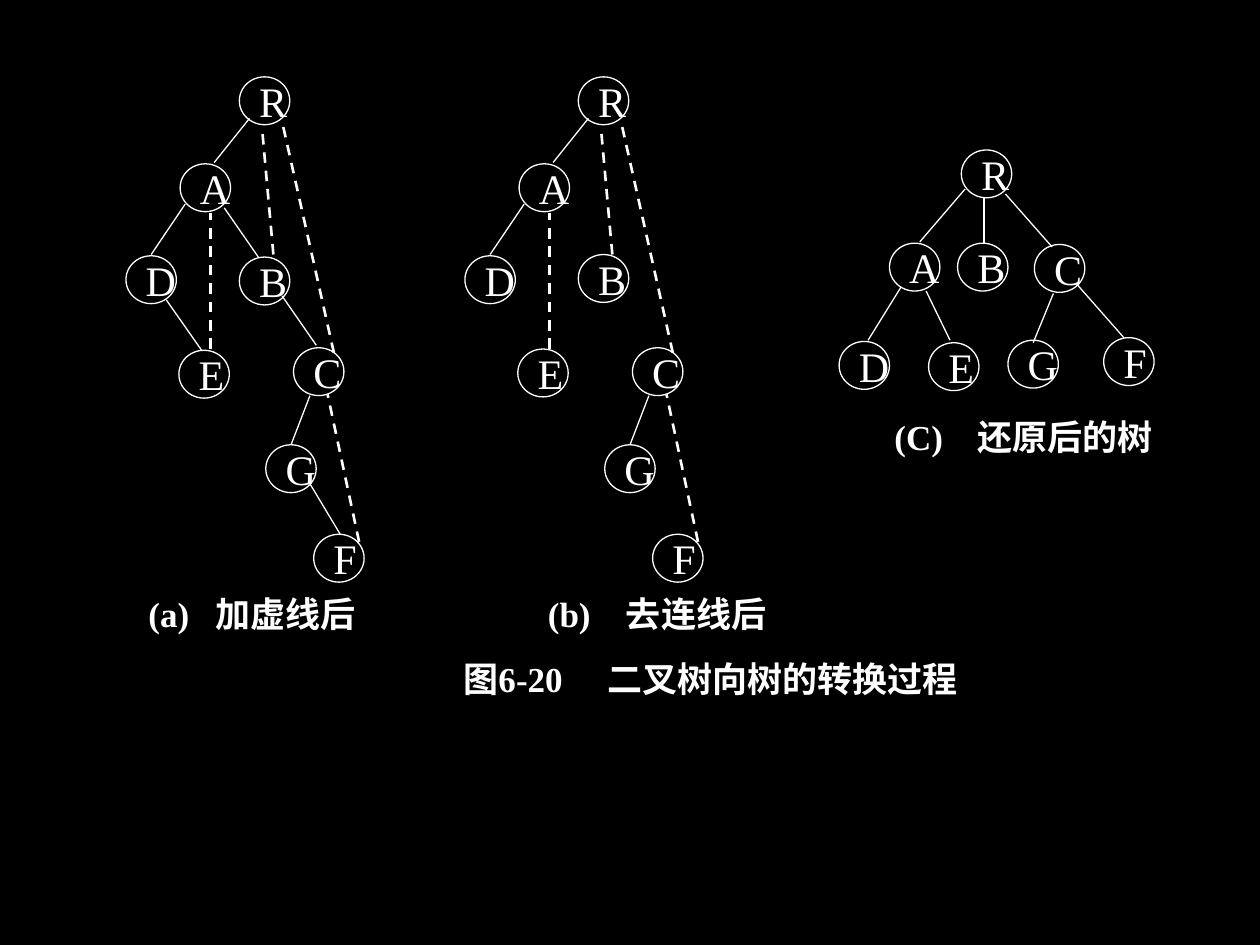
"""Build the slide that shows a binary tree turned back into a tree."""
from dataclasses import dataclass
from typing import Any, NamedTuple

from lxml import etree
from pptx import Presentation
from pptx import util as u
from pptx.dml.color import RGBColor
from pptx.enum import dml, shapes, text
from pptx.oxml import ns

EMU_PER_PX = 9144


@dataclass(frozen=True)
class Theme:
    ground: RGBColor = RGBColor(0, 0, 0)
    ink: RGBColor = RGBColor(255, 255, 255)
    face: str = "Times New Roman"
    node_size: u.Pt = u.Pt(24)
    caption_size: u.Pt = u.Pt(20)
    edge_width: u.Pt = u.Pt(0.75)
    dash_width: u.Pt = u.Pt(1.5)
    node_width: int = 40
    node_height: int = 38


class Node(NamedTuple):
    label: str
    left: int
    top: int


class Edge(NamedTuple):
    x1: int
    y1: int
    x2: int
    y2: int
    dashed: bool = False


class Caption(NamedTuple):
    number: str
    title: str
    left: int
    top: int
    width: int
    height: int
    title_indent: int


class Tree(NamedTuple):
    nodes: list[Node]
    edges: list[Edge]
    shift: int = 0


THEME = Theme()
FRAME_FORMAT = {"word_wrap": False, "vertical_anchor": text.MSO_ANCHOR.MIDDLE}
CAPTION_FORMAT = {"margin_right": 0}

SHARED_BY_A_AND_B = Tree(
    [Node("R", 190, 61), Node("A", 143, 130), Node("D", 100, 203),
     Node("C", 233, 276), Node("G", 211, 353), Node("F", 249, 424)],
    [Edge(198, 94, 170, 129), Edge(147, 162, 120, 202), Edge(246, 314, 231, 353),
     Edge(217, 202, 208, 102, True), Edge(265, 280, 224, 97, True),
     Edge(167, 277, 167, 169, True), Edge(285, 430, 260, 313, True)],
)
ONLY_A = Tree(
    [Node("B", 190, 204), Node("E", 142, 278)],
    [Edge(178, 165, 205, 204), Edge(246, 384, 270, 424),
     Edge(224, 235, 251, 274), Edge(132, 238, 160, 278)],
)
ONLY_B = Tree([Node("B", 190, 202), Node("E", 142, 277)], [])
RESTORED = Tree(
    [Node("R", 763, 119), Node("A", 706, 193), Node("B", 760, 193), Node("C", 821, 194),
     Node("D", 666, 271), Node("E", 737, 272), Node("G", 800, 270), Node("F", 876, 268)],
    [Edge(766, 150, 730, 192), Edge(781, 156, 781, 193), Edge(798, 154, 835, 196),
     Edge(715, 228, 689, 270), Edge(735, 231, 754, 270),
     Edge(855, 226, 892, 268), Edge(836, 233, 820, 272)],
)
B_SHIFT = 269
TREES = [
    SHARED_BY_A_AND_B,
    ONLY_A,
    SHARED_BY_A_AND_B._replace(shift=B_SHIFT),
    ONLY_B._replace(shift=B_SHIFT),
    RESTORED,
]
CAPTIONS = [
    Caption("(a)", "加虚线后", 108, 469, 180, 35, 53),
    Caption("(b)", "去连线后", 425, 469, 196, 35, 62),
    Caption("(C)", "还原后的树", 700, 327, 220, 39, 66),
    Caption("图6-20", "二叉树向树的转换过程", 358, 519, 406, 39, 114),
]


def px(*lengths: int) -> list[u.Emu]:
    """Turn px lengths into EMU."""
    return [u.Emu(length * EMU_PER_PX) for length in lengths]


def apply(target: Any, values: dict[str, Any]) -> None:
    """Set each format value on the target."""
    for key, value in values.items():
        setattr(target, key, value)


def write(frame: Any, words: str, size: u.Pt, bold: bool) -> Any:
    """Write one formatted paragraph and return it."""
    apply(frame, FRAME_FORMAT)
    paragraph = frame.paragraphs[0]
    paragraph.alignment = text.PP_ALIGN.LEFT
    run = paragraph.add_run()
    run.text = words
    apply(run.font, {"name": THEME.face, "size": size, "bold": bold})
    run.font.color.rgb = THEME.ink
    return paragraph


def draw_node(slide: Any, node: Node, shift: int) -> None:
    """Draw a ringed node with its letter."""
    place = px(node.left + shift, node.top, THEME.node_width, THEME.node_height)
    ring = slide.shapes.add_shape(shapes.MSO_SHAPE.OVAL, *place)
    ring.shadow.inherit = False
    ring.fill.background()
    ring.line.color.rgb = THEME.ink
    ring.line.width = THEME.edge_width
    write(ring.text_frame, node.label, THEME.node_size, False)


def draw_edge(slide: Any, edge: Edge, shift: int) -> None:
    """Draw a solid or dashed edge."""
    ends = px(edge.x1 + shift, edge.y1, edge.x2 + shift, edge.y2)
    link = slide.shapes.add_connector(shapes.MSO_CONNECTOR.STRAIGHT, *ends)
    link.line.color.rgb = THEME.ink
    link.line.width = THEME.dash_width if edge.dashed else THEME.edge_width
    if edge.dashed:
        link.line.dash_style = dml.MSO_LINE.DASH
    etree.SubElement(link._element.spPr, ns.qn("a:effectLst"))


def draw_caption(slide: Any, caption: Caption) -> None:
    """Draw a caption whose title starts at a tab stop."""
    place = px(caption.left, caption.top, caption.width, caption.height)
    label = slide.shapes.add_textbox(*place)
    words = f"{caption.number}\t{caption.title}"
    paragraph = write(label.text_frame, words, THEME.caption_size, True)
    apply(label.text_frame, CAPTION_FORMAT)
    stops = etree.SubElement(paragraph._p.get_or_add_pPr(), ns.qn("a:tabLst"))
    indent = px(caption.title_indent)[0]
    etree.SubElement(stops, ns.qn("a:tab"), pos=str(int(indent)), algn="l")


def main() -> None:
    """Draw every tree and caption and save the deck."""
    deck = Presentation()
    apply(deck, dict(zip(("slide_width", "slide_height"), px(1000, 750))))
    slide = deck.slides.add_slide(deck.slide_layouts[6])
    slide.background.fill.solid()
    slide.background.fill.fore_color.rgb = THEME.ground
    for tree in TREES:
        for node in tree.nodes:
            draw_node(slide, node, tree.shift)
        for edge in tree.edges:
            draw_edge(slide, edge, tree.shift)
    for caption in CAPTIONS:
        draw_caption(slide, caption)
    deck.save("out.pptx")


if __name__ == "__main__":
    main()
